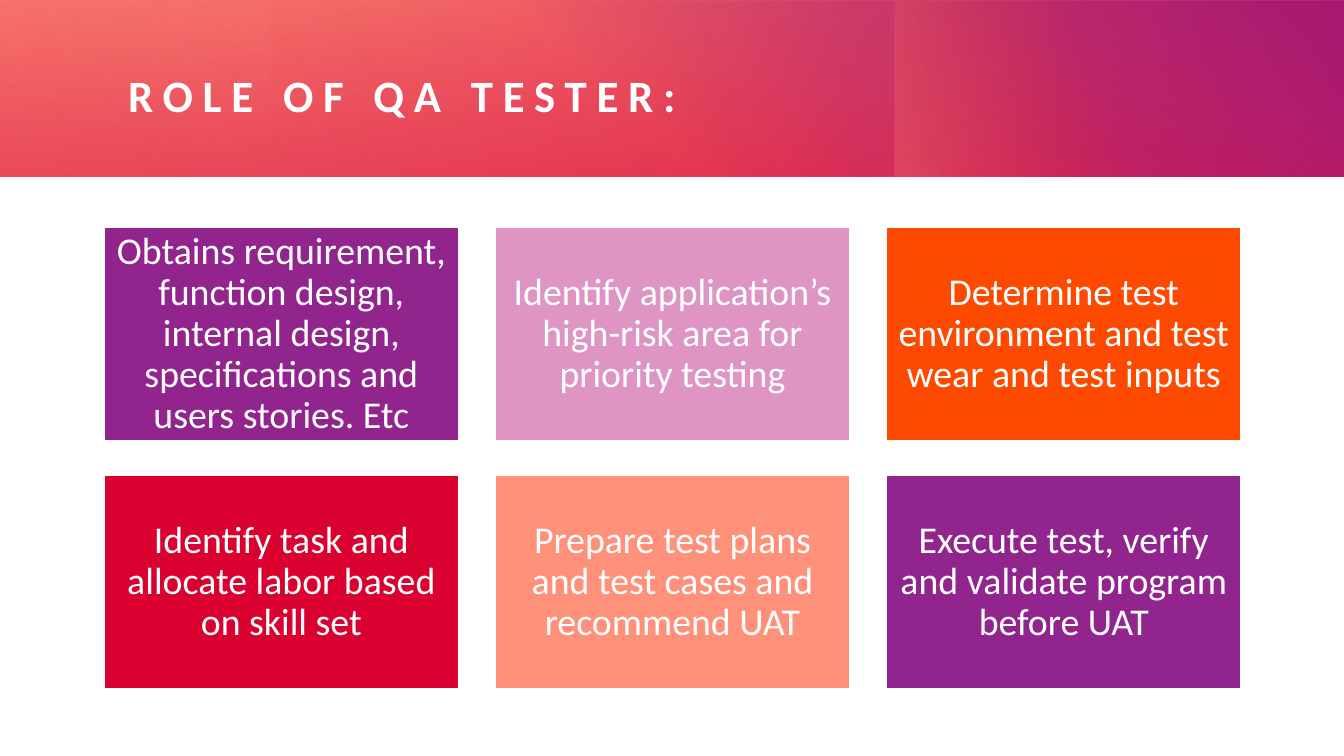
from pptx import Presentation
from pptx.dml.color import RGBColor
from pptx.enum.shapes import MSO_SHAPE
from pptx.enum.text import MSO_ANCHOR, PP_ALIGN
from pptx.oxml.ns import qn
from pptx.util import Pt
from lxml import etree

RECT = MSO_SHAPE.RECTANGLE
MIDDLE = MSO_ANCHOR.MIDDLE
CENTER = PP_ALIGN.CENTER
LEFT = PP_ALIGN.LEFT
SCALE = 9144
FONT = "Calibri"
COLORS = {
    "white": "FFFFFF",
    "purple": "92248E",
    "pink": "DE95C4",
    "orange": "FE4A00",
    "red": "DA002F",
    "peach": "FF907A",
}
BANDS = [
    ((0, 0, 1333, 175), 0, 260, [(0, "red", 83), (100, "peach", 100)]),
    ((481, 1, 852, 174), 0, 310, [(22, "purple", 0), (99, "purple", 100)]),
    ((987, -99, 175, 374), 270, 250, [(45, "orange", 0), (99, "peach", 33)]),
    ((268, 0, 1064, 175), 180, 330, [(0, "red", 30), (99, "red", 0)]),
    ((0, 0, 865, 175), 0, 340, [(0, "red", 21), (99, "red", 0)]),
]
ROLES = [
    ("purple", "Obtains requirement, function design, internal design, "
               "specifications and users stories. Etc"),
    ("pink", "Identify application’s high-risk area for priority testing"),
    ("orange", "Determine test environment and test wear and test inputs"),
    ("red", "Identify task and allocate labor based on skill set"),
    ("peach", "Prepare test plans and test cases and recommend UAT"),
    ("purple", "Execute test, verify and validate program before UAT"),
]
COLS = 3
CARD_W, CARD_H, GAP = 352, 211, 36
GRID_X, GRID_Y = 103, 226


def px(n):
    return n * SCALE


def color(name):
    return RGBColor.from_string(COLORS[name])


def add_rect(slide, box):
    rect = slide.shapes.add_shape(RECT, *map(px, box))
    rect.shadow.inherit = False
    return rect


def add_band(slide, box, turn, angle, stops):
    band = add_rect(slide, box)
    band.rotation = turn
    band.line.fill.background()
    band.fill.gradient()
    band.fill.gradient_angle = 360 - angle
    for stop, (place, name, _) in zip(band.fill.gradient_stops, stops):
        stop.position = place / 100
        stop.color.rgb = color(name)
    tints = band.element.spPr.iter(qn("a:srgbClr"))
    for tint, (_, _, alpha) in zip(list(tints), stops):
        etree.SubElement(tint, qn("a:alpha")).set("val", str(alpha * 1000))


def set_text(shape, text, size, align, inset):
    frame = shape.text_frame
    frame.word_wrap = True
    frame.vertical_anchor = MIDDLE
    frame.margin_left = frame.margin_right = px(inset)
    frame.margin_top = frame.margin_bottom = px(inset)
    para = frame.paragraphs[0]
    para.text = text
    para.alignment = align
    para.font.name = FONT
    para.font.size = Pt(size)
    para.font.color.rgb = color("white")
    return para


def add_title(slide, text):
    box = slide.shapes.add_textbox(px(127), px(41), px(1135), px(106))
    para = set_text(box, text, 32, LEFT, 0)
    para.font.bold = True
    para.runs[0].font.element.set("spc", "700") if hasattr(
        para.runs[0].font, "element") else space(box, 700)


def space(box, amount):
    for props in box.element.iter(qn("a:rPr"), qn("a:defRPr")):
        props.set("spc", str(amount))


def add_card(slide, index, name, text):
    row, col = divmod(index, COLS)
    left = GRID_X + col * (CARD_W + GAP)
    top = GRID_Y + row * (CARD_H + GAP - 1)
    card = add_rect(slide, (left, top, CARD_W, CARD_H))
    card.fill.solid()
    card.fill.fore_color.rgb = color(name)
    card.line.color.rgb = color("white")
    card.line.width = Pt(1)
    para = set_text(card, text, 27, CENTER, 11)
    para.line_spacing = 0.9


def main():
    deck = Presentation()
    deck.slide_width = px(1333)
    deck.slide_height = px(750)
    slide = deck.slides.add_slide(deck.slide_layouts[6])
    for band in BANDS:
        add_band(slide, *band)
    add_title(slide, "ROLE OF QA TESTER:")
    for index, (name, text) in enumerate(ROLES):
        add_card(slide, index, name, text)
    deck.save("out.pptx")


if __name__ == "__main__":
    main()
